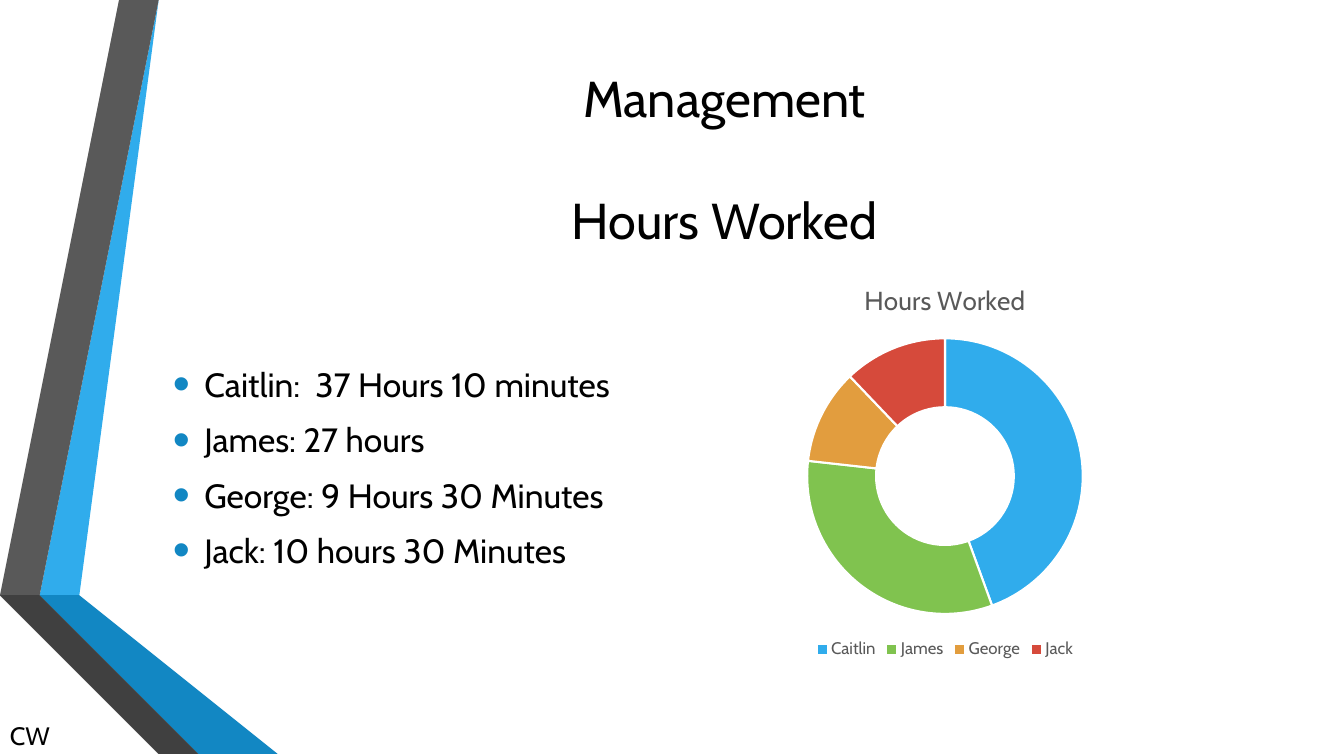
from pptx import Presentation
from pptx.chart.data import CategoryChartData
from pptx.dml.color import RGBColor
from pptx.enum.chart import XL_CHART_TYPE as ChartType, XL_LEGEND_POSITION as LegendPos
from pptx.enum.text import MSO_ANCHOR as Anchor, PP_ALIGN as Align
from pptx.oxml import parse_xml
from pptx.oxml.ns import nsdecls
from pptx.util import Cm, Pt

FONT = "Cabin"
BLACK = RGBColor(0x00, 0x00, 0x00)
WHITE = RGBColor(0xFF, 0xFF, 0xFF)
GREY = RGBColor(0x59, 0x59, 0x59)
DARK_GREY = RGBColor(0x40, 0x40, 0x40)
CHARCOAL = RGBColor(0x26, 0x26, 0x26)
SKY = RGBColor(0x30, 0xAC, 0xEC)
BLUE = RGBColor(0x12, 0x87, 0xC3)
NAVY = RGBColor(0x0C, 0x5A, 0x82)
GREEN = RGBColor(0x80, 0xC3, 0x4F)
ORANGE = RGBColor(0xE2, 0x9D, 0x3E)
RED = RGBColor(0xD6, 0x4A, 0x3B)

deck = Presentation()
deck.slide_width, deck.slide_height = Cm(33.87), Cm(19.05)
slide = deck.slides.add_slide(deck.slide_layouts[6])


def style(font, size, color):
    font.name, font.size, font.bold = FONT, Pt(size), False
    font.color.rgb = color


def add_text(left, top, width, height, lines, size, anchor=Anchor.TOP):
    frame = slide.shapes.add_textbox(Cm(left), Cm(top), Cm(width), Cm(height)).text_frame
    frame.word_wrap = True
    frame.vertical_anchor = anchor
    for i, line in enumerate(lines):
        paragraph = frame.add_paragraph() if i else frame.paragraphs[0]
        run = paragraph.add_run()
        run.text = line
        style(run.font, size, BLACK)
    return frame.paragraphs


# Folded ribbons on the left, corner points in centimetres
ribbons = [
    (SKY, [(1.27, 14.68), (1.96, 14.81), (4.39, 0), (3.68, 0)]),
    (GREY, [(3.53, 0), (2.82, 0), (0.41, 14.55), (1.12, 14.66)]),
    (CHARCOAL, [(0.41, 14.55), (3.68, 19.05), (3.84, 19.05)]),
    (NAVY, [(1.27, 14.71), (5.28, 19.05), (5.44, 19.05)]),
    (BLUE, [(1.27, 14.68), (5.44, 19.05), (7.19, 19.05), (1.96, 14.81)]),
    (DARK_GREY, [(5.13, 19.05), (1.22, 14.81), (1.12, 14.66), (0.41, 14.55), (3.84, 19.05)]),
]
for color, corners in ribbons:
    outline = slide.shapes.build_freeform(*corners[0], scale=Cm(1))
    outline.add_line_segments(corners[1:], close=True)
    ribbon = outline.convert_to_shape()
    ribbon.shadow.inherit = False
    ribbon.fill.solid()
    ribbon.fill.fore_color.rgb = color
    ribbon.line.fill.background()

# Title, its two lines one line height apart
title = add_text(4.34, 1.55, 27.84, 4.88, ["Management", "Hours Worked"], 36, Anchor.MIDDLE)
for paragraph in title:
    paragraph.alignment = Align.CENTER
title[1].space_before = Pt(43.7)

# Bulleted hours
hours = add_text(4.11, 7.42, 27.84, 8.69, [
    "Caitlin:  37 Hours 10 minutes",
    "James: 27 hours",
    "George: 9 Hours 30 Minutes",
    "Jack: 10 hours 30 Minutes",
], 24, Anchor.MIDDLE)
for paragraph in hours:
    paragraph.space_before, paragraph.space_after = Pt(4.8), Pt(6)
    props = paragraph._p.get_or_add_pPr()
    props.set("marL", str(Cm(0.79)))
    props.set("indent", str(-Cm(0.79)))
    for bullet in (
        f'<a:buClr {nsdecls("a")}><a:srgbClr val="{BLUE}"/></a:buClr>',
        f'<a:buSzPct {nsdecls("a")} val="145000"/>',
        f'<a:buFont {nsdecls("a")} typeface="Arial"/>',
        f'<a:buChar {nsdecls("a")} char="•"/>',
    ):
        props.append(parse_xml(bullet))

# Initials in the corner
add_text(0, 18.03, 2.06, 1.02, ["CW"], 18)

# Doughnut of hours worked
shares = CategoryChartData()
shares.categories = ["Caitlin", "James", "George", "Jack"]
shares.add_series("Hours Worked", [44, 32, 11, 12])
chart = slide.shapes.add_chart(
    ChartType.DOUGHNUT, Cm(16.26), Cm(6.65), Cm(15.11), Cm(10.06), shares).chart
style(chart.font, 10, BLACK)

chart.has_title = True
heading = chart.chart_title.text_frame.paragraphs[0].add_run()
heading.text = "Hours Worked"
style(heading.font, 18.6, GREY)
chart.chart_title.include_in_layout = False

chart.has_legend = True
chart.legend.position = LegendPos.BOTTOM
chart.legend.include_in_layout = False
style(chart.legend.font, 12, GREY)

ring = chart.plots[0]
ring.vary_by_categories = True
ring.has_data_labels = False
for i, color in enumerate([SKY, GREEN, ORANGE, RED]):
    segment = ring.series[0].points[i].format
    segment.fill.solid()
    segment.fill.fore_color.rgb = color
    segment.line.color.rgb = WHITE
    segment.line.width = Pt(1.5)

deck.save("out.pptx")
